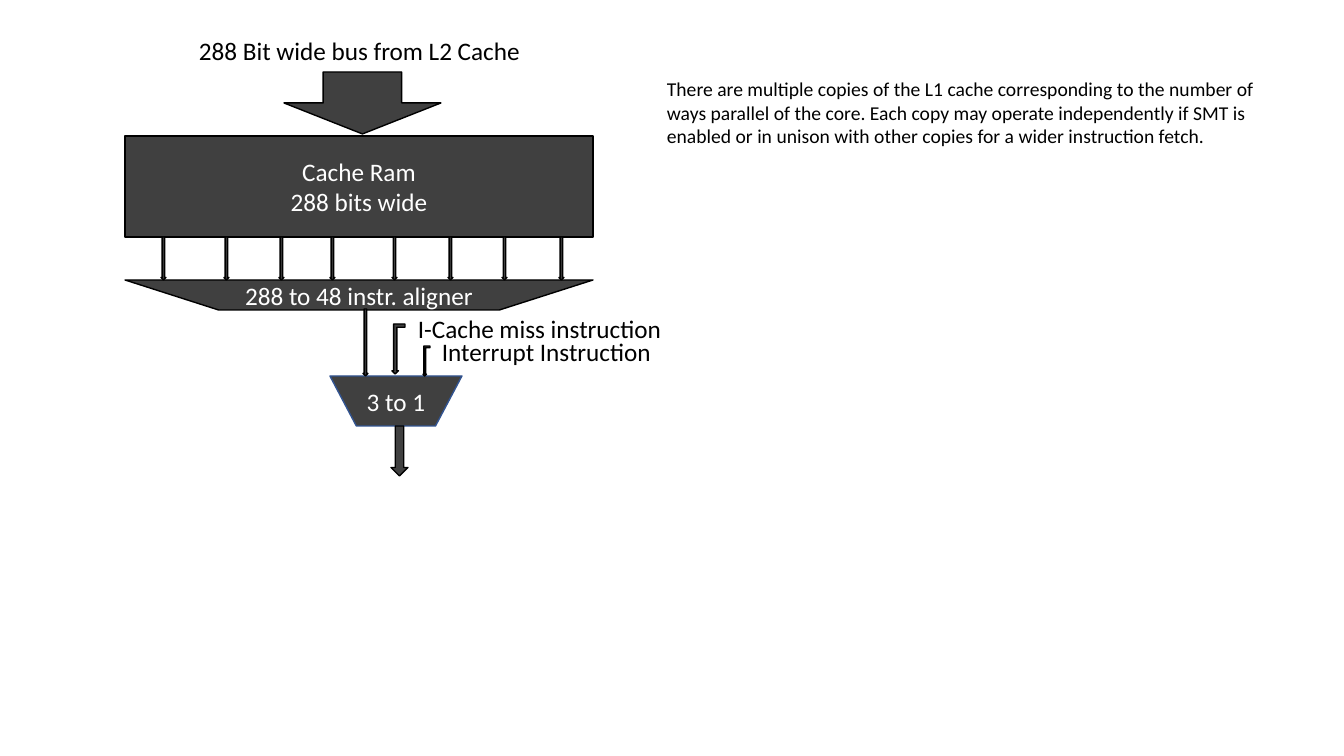
from pptx import Presentation
from pptx import util as u
from pptx.dml.color import RGBColor
from pptx.enum import shapes, text

EMU_PER_PX = 914400 / 100.8
FONT = "Calibri"
DARK, BLACK, WHITE, BLUE = "404040", "000000", "FFFFFF", "325491"
DOWN = shapes.MSO_SHAPE.DOWN_ARROW
BENT = shapes.MSO_SHAPE.BENT_UP_ARROW
FUNNEL = shapes.MSO_SHAPE.FLOWCHART_MANUAL_OPERATION


def px(n):
    return u.Emu(round(n * EMU_PER_PX))


def color(hex_code):
    return RGBColor.from_string(hex_code)


def write(tf, lines, size, hex_code, align):
    tf.text = "\n".join(lines)
    for p in tf.paragraphs:
        p.alignment = align
        p.font.name = FONT
        p.font.size = u.Pt(size)
        p.font.color.rgb = color(hex_code)


def add_block(s, kind, box, lines=(), outline=BLACK, rotation=0):
    """Add a dark outlined shape, with centred white text if any is given."""
    sp = s.shapes.add_shape(kind, *map(px, box))
    sp.shadow.inherit = False
    sp.rotation = rotation
    sp.fill.solid()
    sp.fill.fore_color.rgb = color(DARK)
    sp.line.color.rgb = color(outline)
    sp.line.width = u.Pt(1)
    if lines:
        sp.text_frame.vertical_anchor = text.MSO_ANCHOR.MIDDLE
        write(sp.text_frame, lines, 18, WHITE, text.PP_ALIGN.CENTER)


def add_label(s, box, line, size=18, wrap=True):
    tf = s.shapes.add_textbox(*map(px, box)).text_frame
    tf.word_wrap = wrap
    tf.auto_size = text.MSO_AUTO_SIZE.SHAPE_TO_FIT_TEXT
    write(tf, [line], size, BLACK, text.PP_ALIGN.LEFT)


def main():
    prs = Presentation()
    prs.slide_width, prs.slide_height = px(1344), px(756)
    s = prs.slides.add_slide(prs.slide_layouts[6])

    add_block(s, shapes.MSO_SHAPE.RECTANGLE, (125, 136, 468, 101),
              ["Cache Ram", "288 bits wide"])
    add_block(s, FUNNEL, (125, 280, 468, 30), ["288 to 48 instr. aligner"])
    for x in (161, 224, 279, 330, 392, 448, 502, 559):
        add_block(s, DOWN, (x, 237, 5, 43))

    add_block(s, FUNNEL, (330, 376, 132, 50), ["3 to 1"], outline=BLUE)
    add_block(s, DOWN, (363, 309, 5, 67))
    add_label(s, (408, 308, 266, 40), "I-Cache miss instruction", wrap=False)
    add_label(s, (432, 331, 232, 40), "Interrupt Instruction", wrap=False)
    add_block(s, BENT, (392, 324, 13, 50), rotation=180)
    add_block(s, BENT, (423, 346, 7, 30), rotation=180)
    add_block(s, DOWN, (391, 426, 17, 50))

    add_block(s, DOWN, (284, 72, 157, 62))
    add_label(s, (189, 30, 357, 40), "288 Bit wide bus from L2 Cache")
    add_label(s, (657, 72, 638, 82),
              "There are multiple copies of the L1 cache corresponding to the "
              "number of ways parallel of the core. Each copy may operate "
              "independently if SMT is enabled or in unison with other copies "
              "for a wider instruction fetch.", size=14)

    prs.save("out.pptx")


if __name__ == "__main__":
    main()
